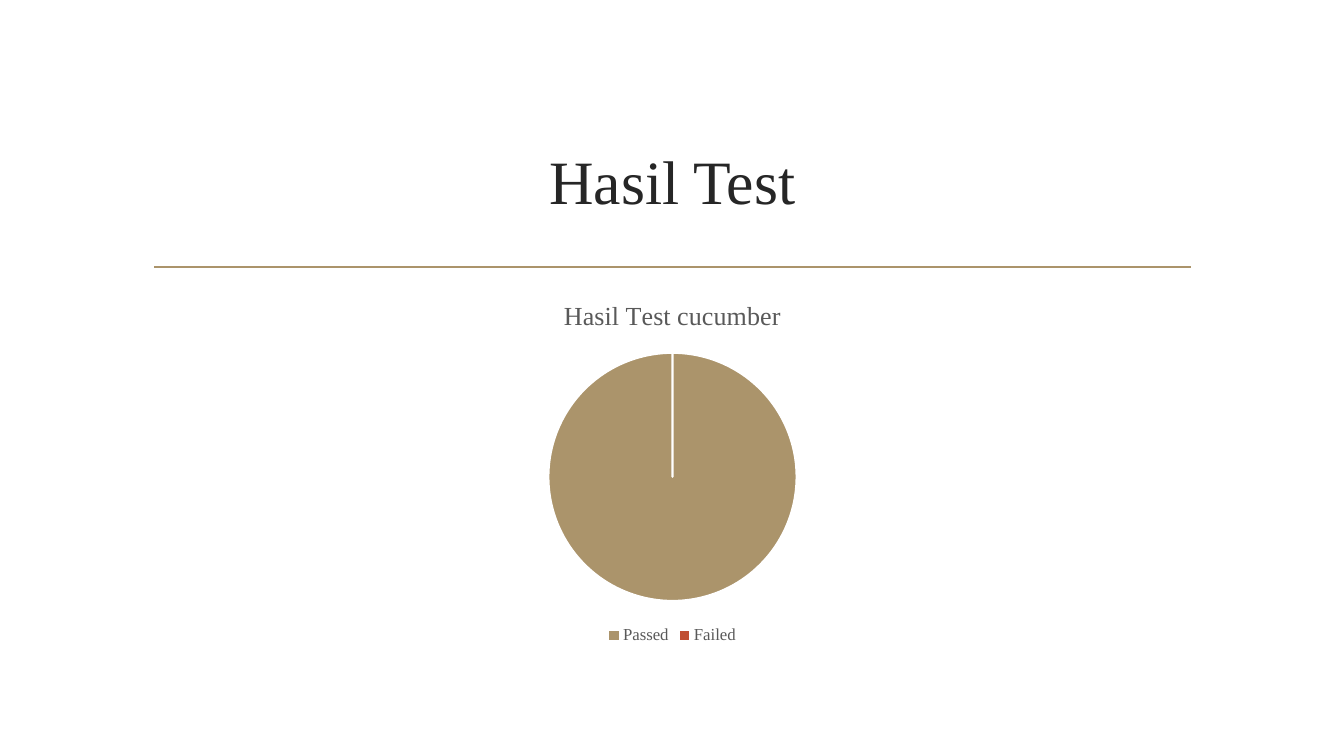
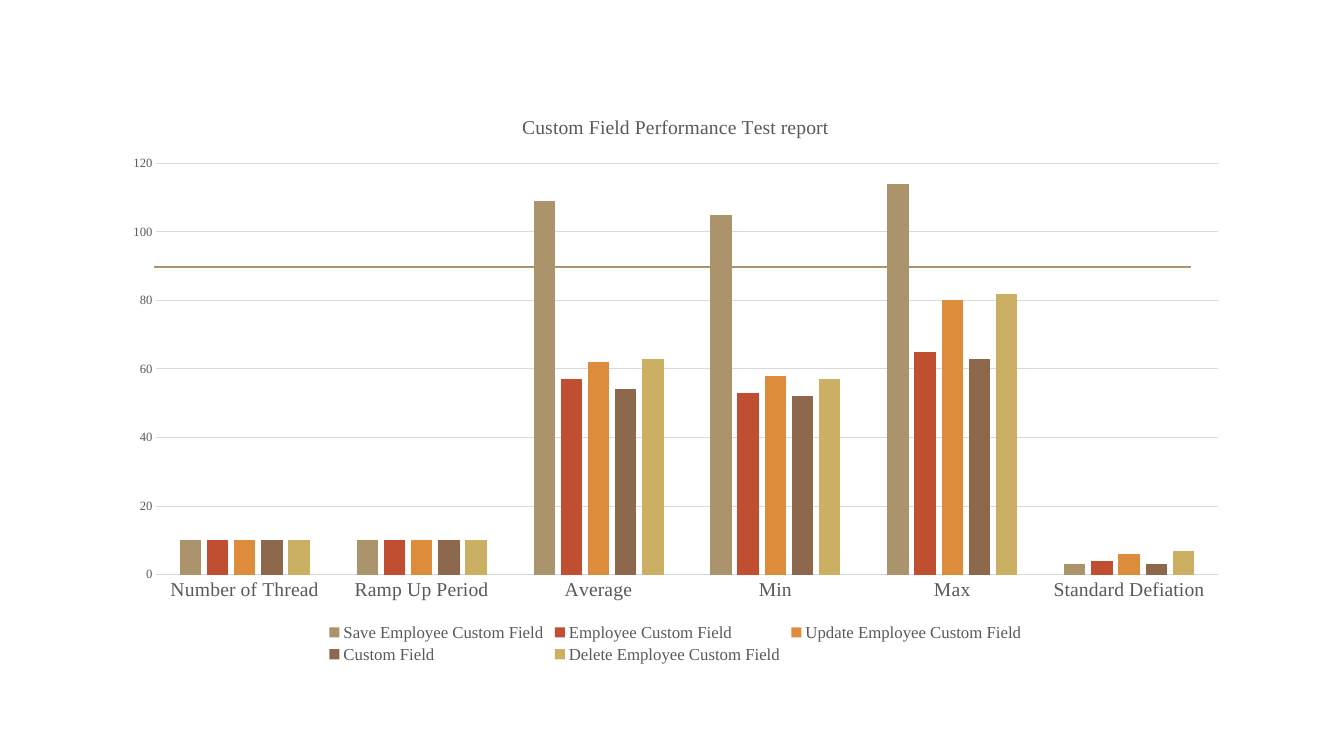
import lxml.etree
import pptx
import pptx.chart.data
import pptx.dml.color
import pptx.enum.chart
import pptx.enum.shapes
import pptx.enum.text
import pptx.oxml.ns
import pptx.util

WIDTH, HEIGHT = 13.33, 7.5
FONT = "Times New Roman"
PALETTE = ["AB946B", "C04F32", "DD8C3C", "8E684C", "CBAF62"]
INK, GREY, GRID, WHITE = "262626", "595959", "D9D9D9", "FFFFFF"
TITLE_ONLY, BLANK = 5, 6


def color(hex_value):
    """Turn a hex string into a colour."""
    return pptx.dml.color.RGBColor.from_string(hex_value)


def inches(box):
    """Turn a box in inches into lengths."""
    return [pptx.util.Inches(length) for length in box]


def style_font(font, size, hex_value):
    """Set the shared typeface with a size and colour."""
    font.name = FONT
    font.size = pptx.util.Pt(size)
    font.bold = False
    font.color.rgb = color(hex_value)


def style_line(line, hex_value, width):
    """Set the colour and width of a line."""
    line.color.rgb = color(hex_value)
    line.width = pptx.util.Pt(width)


def fill(part, hex_value):
    """Fill a chart part with one colour."""
    part.format.fill.solid()
    part.format.fill.fore_color.rgb = color(hex_value)


def start_slide(deck, layout):
    """Add a slide with the gold rule that all slides share."""
    slide = deck.slides.add_slide(deck.slide_layouts[layout])
    rule = slide.shapes.add_connector(
        pptx.enum.shapes.MSO_CONNECTOR.STRAIGHT, *inches([1.53, 2.65, 11.81, 2.65]))
    style_line(rule.line, PALETTE[0], 1.25)
    lxml.etree.SubElement(rule._element.spPr, pptx.oxml.ns.qn("a:effectLst"))
    return slide


def add_title(slide, box, text):
    """Place and format the slide title."""
    heading = slide.shapes.title
    heading.left, heading.top, heading.width, heading.height = inches(box)
    frame = heading.text_frame
    frame.text = text
    frame.vertical_anchor = pptx.enum.text.MSO_ANCHOR.MIDDLE
    frame.paragraphs[0].alignment = pptx.enum.text.PP_ALIGN.CENTER
    style_font(frame.paragraphs[0].runs[0].font, 44, INK)


def add_report(slide, box, kind, title, title_size, categories, rows):
    """Add a chart with the shared title and legend style."""
    data = pptx.chart.data.CategoryChartData()
    data.categories = categories
    for name, values in rows.items():
        data.add_series(name, values)
    report = slide.shapes.add_chart(kind, *inches(box), data).chart
    style_font(report.font, 10, "000000")
    report.has_title = True
    caption = report.chart_title.text_frame
    caption.text = title
    style_font(caption.paragraphs[0].runs[0].font, title_size, GREY)
    report.has_legend = True
    report.legend.position = pptx.enum.chart.XL_LEGEND_POSITION.BOTTOM
    report.legend.include_in_layout = False
    style_font(report.legend.font, 12, GREY)
    return report


def add_result_pie(slide, box):
    """Show the share of passed and failed tests."""
    title = "Hasil Test cucumber"
    report = add_report(slide, box, pptx.enum.chart.XL_CHART_TYPE.PIE, title, 18.6,
                        ["Passed", "Failed"], {title: [100, 0]})
    plot = report.plots[0]
    plot.vary_by_categories = True
    for index, hex_value in enumerate(PALETTE[:2]):
        slice_ = plot.series[0].points[index]
        fill(slice_, hex_value)
        style_line(slice_.format.line, WHITE, 1.5)


def add_performance_columns(slide, box):
    """Compare the timings of the custom field requests."""
    measures = ["Number of Thread", "Ramp Up Period", "Average", "Min", "Max",
                "Standard Defiation"]
    requests = {
        "Save Employee Custom Field": [10, 10, 109, 105, 114, 3],
        "Employee Custom Field": [10, 10, 57, 53, 65, 4],
        "Update Employee Custom Field": [10, 10, 62, 58, 80, 6],
        "Custom Field": [10, 10, 54, 52, 63, 3],
        "Delete Employee Custom Field": [10, 10, 63, 57, 82, 7],
    }
    report = add_report(slide, box, pptx.enum.chart.XL_CHART_TYPE.COLUMN_CLUSTERED,
                        "Custom Field Performance Test report", 14, measures, requests)
    plot = report.plots[0]
    plot.vary_by_categories = False
    plot.gap_width, plot.overlap = 219, -27
    for series, hex_value in zip(plot.series, PALETTE):
        fill(series, hex_value)
    for axis, size in ((report.category_axis, 14), (report.value_axis, 9)):
        axis.major_tick_mark = pptx.enum.chart.XL_TICK_MARK.NONE
        axis.minor_tick_mark = pptx.enum.chart.XL_TICK_MARK.NONE
        style_font(axis.tick_labels.font, size, GREY)
    style_line(report.category_axis.format.line, GRID, 0.75)
    scale = report.value_axis
    scale.minimum_scale, scale.maximum_scale, scale.major_unit = 0, 120, 20
    scale.format.line.fill.background()
    style_line(scale.major_gridlines.format.line, GRID, 0.75)


def build():
    """Build and save both slides."""
    deck = pptx.Presentation()
    deck.slide_width, deck.slide_height = inches([WIDTH, HEIGHT])
    results = start_slide(deck, TITLE_ONLY)
    add_title(results, [1.42, 1.07, 10.5, 1.43], "Hasil Test")
    add_result_pie(results, [1.42, 2.8, 10.5, 3.63])
    add_performance_columns(start_slide(deck, BLANK), [1.1, 0.93, 11.2, 5.69])
    deck.save("out.pptx")


build()
